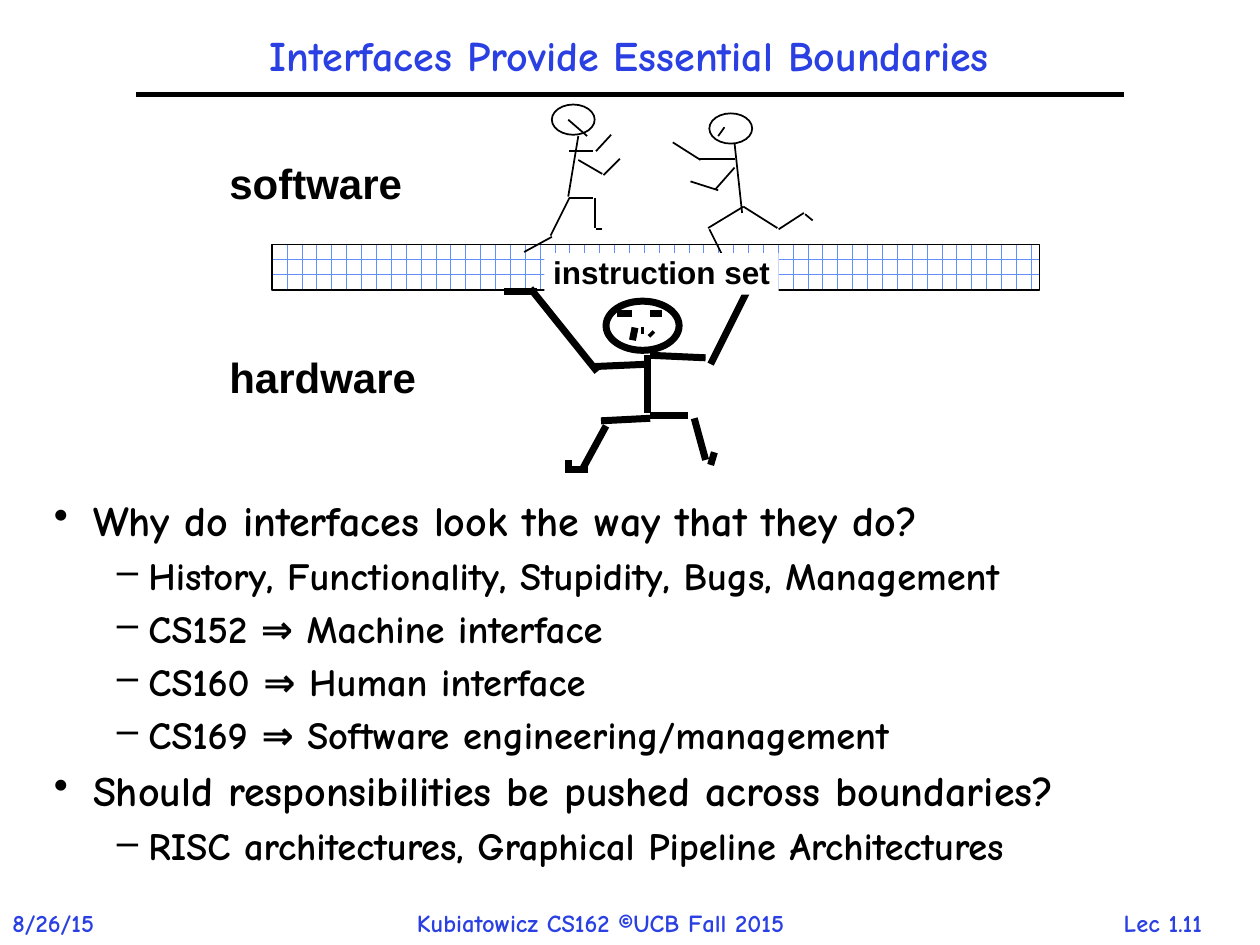
"""Build the slide on interfaces as boundaries between software and hardware."""
from dataclasses import dataclass
from typing import NamedTuple

import lxml.etree
import pptx
import pptx.dml.color
import pptx.enum.dml
import pptx.enum.shapes
import pptx.enum.text
import pptx.oxml.ns
import pptx.util

ALIGN = pptx.enum.text.PP_ALIGN
ANCHOR = pptx.enum.text.MSO_ANCHOR
SHAPES = pptx.enum.shapes.MSO_SHAPE
COLUMNS, ROWS = 100, 75


def rgb(code: str) -> pptx.dml.color.RGBColor:
    return pptx.dml.color.RGBColor.from_string(code)


@dataclass(frozen=True)
class Theme:
    ink = rgb("000000")
    paper = rgb("FFFFFF")
    accent = rgb("2A40E2")
    brick = rgb("618FFD")
    hand = "Comic Neue"
    label = "Arial"
    title_size = 24
    label_size = 24
    boundary_size = 18
    footer_size = 14
    thin = 1
    rule = 3
    thick = 4


THEME = Theme()


class Area(NamedTuple):
    column: float
    row: float
    columns: float
    rows: float


class Stroke(NamedTuple):
    start_column: float
    start_row: float
    end_column: float
    end_row: float


class Figure(NamedTuple):
    head: Area
    strokes: list[Stroke]
    weight: float


class Inset(NamedTuple):
    left: float
    right: float
    vertical: float


class Caption(NamedTuple):
    text: str
    area: Area
    size: float
    font: str
    color: pptx.dml.color.RGBColor
    spacing: float = 1.0
    align: ALIGN = ALIGN.LEFT
    anchor: ANCHOR = ANCHOR.TOP
    wrap: bool = True
    inset: Inset = Inset(1, 1, 0.5)
    filled: bool = False


class Level(NamedTuple):
    bullet: str
    size: float
    margin: float
    hanging: float


class Point(NamedTuple):
    level: Level
    text: str


TOPIC = Level("•", 24, 3.1, 3.1)
DETAIL = Level("–", 22, 7.5, 2.5)
POINTS = [
    Point(TOPIC, "Why do interfaces look the way that they do?"),
    Point(DETAIL, "History, Functionality, Stupidity, Bugs, Management"),
    Point(DETAIL, "CS152 ⇒ Machine interface"),
    Point(DETAIL, "CS160 ⇒ Human interface"),
    Point(DETAIL, "CS169 ⇒ Software engineering/management"),
    Point(TOPIC, "Should responsibilities be pushed across boundaries?"),
    Point(DETAIL, "RISC architectures, Graphical Pipeline Architectures"),
]

LEFT_RUNNER = Figure(Area(43.8, 8.3, 3.4, 2.4), [
    Stroke(45.9, 10.8, 45.1, 15.6), Stroke(45.2, 15.7, 47.1, 15.7),
    Stroke(47.2, 15.7, 47.2, 18.1), Stroke(47.3, 18.2, 47.8, 18.2),
    Stroke(45.2, 15.7, 43.7, 18.7), Stroke(43.8, 18.8, 41.6, 20),
    Stroke(45.9, 12.7, 47.8, 13.8), Stroke(47.9, 13.9, 49.2, 12.6),
    Stroke(45.2, 12, 47.1, 12), Stroke(47.3, 12, 48.5, 10.7),
    Stroke(46.6, 10.8, 45.1, 9.5),
], THEME.thin)
RIGHT_RUNNER = Figure(Area(56.3, 9, 3.4, 2.4), [
    Stroke(58.3, 11.4, 58.9, 16.9), Stroke(59, 16.4, 56.2, 18.1),
    Stroke(56.3, 18.2, 57.5, 20.6), Stroke(59, 16.4, 61.7, 18.1),
    Stroke(61.8, 18.2, 63.8, 16.9), Stroke(63.9, 17, 64.5, 17.5),
    Stroke(58.3, 13.3, 56.8, 15), Stroke(57, 15.1, 54.8, 14.4),
    Stroke(58.3, 12.6, 55.5, 12.6), Stroke(55.6, 12.7, 53.4, 11.3),
    Stroke(57, 10.8, 57.5, 10.1),
], THEME.thin)
CARRIER = Figure(Area(48.1, 23.9, 5.8, 3.9), [
    Stroke(50.2, 27, 50.4, 26), Stroke(50.9, 26.2, 51.1, 26.2),
    Stroke(51.6, 26.4, 51.8, 26.6), Stroke(51.6, 24.9, 52.5, 24.9),
    Stroke(50.2, 24.9, 49, 24.9), Stroke(45.1, 37.5, 45.1, 36.5),
    Stroke(51.4, 28.2, 51.4, 32.8), Stroke(51.6, 33, 54.6, 33),
    Stroke(55.1, 33.2, 56, 36.5), Stroke(56.4, 36.9, 56.7, 35.9),
    Stroke(51.6, 33.2, 47.7, 33.4), Stroke(48.1, 33.8, 46.3, 37.1),
    Stroke(46.7, 37.3, 44.9, 37.3), Stroke(51.6, 28.2, 56, 28.4),
    Stroke(56.4, 28.9, 59.4, 22.9), Stroke(51.6, 28.9, 47, 29.1),
    Stroke(47.4, 29.5, 42.1, 22.9), Stroke(42.6, 23.1, 40, 23.1),
], THEME.thick)

FOOTER = (THEME.footer_size, THEME.hand, THEME.accent)
LAYER = (THEME.label_size, THEME.label, THEME.ink, 0.85)
TIGHT = Inset(0.7, 0, 0.3)
CAPTIONS = [
    Caption("Lec 1.11", Area(86.3, 71.6, 12, 3.3), *FOOTER, align=ALIGN.CENTER, wrap=False),
    Caption("8/26/15", Area(0, 71.6, 10, 3.4), *FOOTER, wrap=False),
    Caption("Kubiatowicz CS162 ©UCB Fall 2015", Area(32.1, 71.6, 36.1, 3.4), *FOOTER, wrap=False),
    Caption("Interfaces Provide Essential Boundaries", Area(10.8, 1.7, 78.3, 5.8),
            THEME.title_size, THEME.hand, THEME.accent, 0.9, ALIGN.CENTER, ANCHOR.MIDDLE),
    Caption("instruction set", Area(43.2, 20.1, 18.6, 3.3), THEME.boundary_size,
            THEME.label, THEME.ink, 0.92, inset=TIGHT, filled=True),
    Caption("software", Area(17.5, 12.8, 15.1, 4), *LAYER, inset=TIGHT),
    Caption("hardware", Area(17.5, 28.2, 16.2, 4), *LAYER, inset=TIGHT),
]

deck = pptx.Presentation()
deck.slide_width = pptx.util.Inches(10)
deck.slide_height = pptx.util.Inches(7.5)
slide = deck.slides.add_slide(deck.slide_layouts[6])


def across(columns: float) -> pptx.util.Emu:
    return pptx.util.Emu(round(deck.slide_width * columns / COLUMNS))


def down(rows: float) -> pptx.util.Emu:
    return pptx.util.Emu(round(deck.slide_height * rows / ROWS))


def place(area: Area) -> tuple:
    return across(area.column), down(area.row), across(area.columns), down(area.rows)


def ink_line(line, weight: float) -> None:
    line.color.rgb = THEME.ink
    line.width = pptx.util.Pt(weight)


def draw_stroke(stroke: Stroke, weight: float) -> None:
    limb = slide.shapes.add_connector(
        pptx.enum.shapes.MSO_CONNECTOR.STRAIGHT,
        across(stroke.start_column), down(stroke.start_row),
        across(stroke.end_column), down(stroke.end_row))
    ink_line(limb.line, weight)
    lxml.etree.SubElement(limb._element.spPr, pptx.oxml.ns.qn("a:effectLst"))


def draw_outline(kind: SHAPES, area: Area, weight: float):
    outline = slide.shapes.add_shape(kind, *place(area))
    outline.shadow.inherit = False
    outline.fill.background()
    ink_line(outline.line, weight)
    return outline


def draw_figure(figure: Figure) -> None:
    draw_outline(SHAPES.OVAL, figure.head, figure.weight)
    for stroke in figure.strokes:
        draw_stroke(stroke, figure.weight)


def style(paragraph, size: float, font: str, color, spacing: float) -> None:
    paragraph.line_spacing = spacing
    for run in paragraph.runs:
        run.font.size, run.font.name = pptx.util.Pt(size), font
        run.font.bold, run.font.color.rgb = True, color


def draw_caption(caption: Caption) -> None:
    box = slide.shapes.add_textbox(*place(caption.area))
    if caption.filled:
        box.fill.solid()
        box.fill.fore_color.rgb = THEME.paper
    frame = box.text_frame
    frame.text = caption.text
    frame.word_wrap = caption.wrap
    frame.vertical_anchor = caption.anchor
    frame.margin_left, frame.margin_right = across(caption.inset.left), across(caption.inset.right)
    frame.margin_top = frame.margin_bottom = down(caption.inset.vertical)
    frame.paragraphs[0].alignment = caption.align
    style(frame.paragraphs[0], caption.size, caption.font, caption.color, caption.spacing)


def draw_points(points: list[Point], area: Area) -> None:
    frame = slide.shapes.add_textbox(*place(area)).text_frame
    frame.word_wrap = True
    frame.text = "\n".join(point.text for point in points)
    for order, (point, paragraph) in enumerate(zip(points, frame.paragraphs)):
        level = point.level
        properties = paragraph._p.get_or_add_pPr()
        properties.set("marL", str(across(level.margin)))
        properties.set("indent", str(-across(level.hanging)))
        lxml.etree.SubElement(properties, pptx.oxml.ns.qn("a:buFontTx"))
        bullet = lxml.etree.SubElement(properties, pptx.oxml.ns.qn("a:buChar"))
        bullet.set("char", level.bullet)
        if order:
            paragraph.space_before = pptx.util.Pt(round(level.size * 0.3, 1))
        style(paragraph, level.size, THEME.hand, THEME.ink, 0.9)


draw_stroke(Stroke(10.8, 7.5, 89.2, 7.5), THEME.rule)
draw_points(POINTS, Area(3.3, 39.2, 90.8, 33.3))
wall = draw_outline(SHAPES.RECTANGLE, Area(21.6, 19.4, 60.9, 3.6), THEME.thin)
wall.fill.patterned()
wall.fill.pattern = pptx.enum.dml.MSO_PATTERN.HORIZONTAL_BRICK
wall.fill.fore_color.rgb, wall.fill.back_color.rgb = THEME.brick, THEME.paper
for member in (LEFT_RUNNER, RIGHT_RUNNER, CARRIER):
    draw_figure(member)
for wording in CAPTIONS:
    draw_caption(wording)
deck.save("out.pptx")
